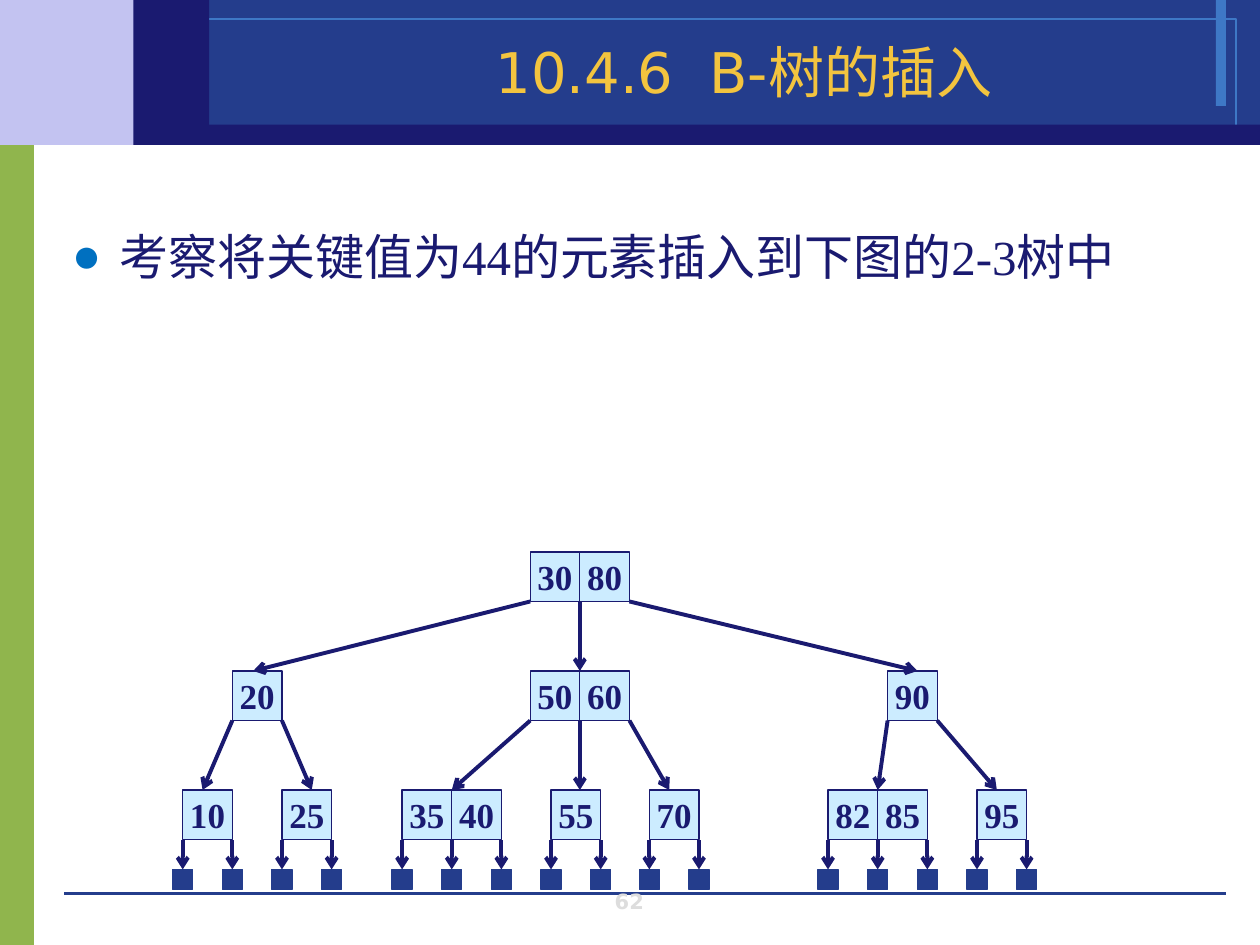
import pptx
import pptx.util
import pptx.dml.color
import pptx.enum.shapes
import pptx.enum.text
import pptx.oxml.ns
import lxml.etree

NAVY, BLUE, SKY, PALE = "1A1A70", "243D8C", "3E78C6", "CCECFF"
SERIF, SANS = "Times New Roman", "DejaVu Sans"
CELL, LEFT, TOP, LEVEL, LEAF_TOP, LEAF = 0.394, 1.45, 4.38, 0.945, 6.9, 0.16

PANELS = [
    ((0, 1.07, 0.27, 6.44), "90B54D", None),
    ((0, 0, 1.53, 1.15), "C3C3F1", None),
    ((1.53, 0, 8.47, 1.15), BLUE, None),
    ((9.65, 0, 0.08, 0.84), SKY, None),
    ((1.19, 0.15, 8.62, 0.85), None, SKY),
]
BANDS = [
    ((1.3, 0.99, 8.7, 0.16), NAVY, None),
    ((1.06, 0, 0.6, 1.15), NAVY, None),
]

# column, keys, column where the arrow arrives, children
TREE = (7, (30, 80), None, [
    (1, (20,), 1.42, [(0, (10,), 0.4, []), (2, (25,), 2.6, [])]),
    (7, (50, 60), 8, [
        (4.42, (35, 40), 5.42, []),
        (7.42, (55,), 8, []),
        (9.4, (70,), 9.8, []),
    ]),
    (14.2, (90,), 14.8, [(13, (82, 85), 14, []), (16, (95,), 16.4, [])]),
])


def color(value):
    return pptx.dml.color.RGBColor.from_string(value)


def inches(*values):
    return [pptx.util.Inches(v) for v in values]


def col_x(col):
    return LEFT + col * CELL


def style(p, size, name, value, bold=False, align=None):
    p.font.size = pptx.util.Pt(size)
    p.font.name = name
    p.font.color.rgb = color(value)
    p.font.bold = bold
    p.alignment = align


def add_box(s, at, fill=None, line=None, width=0.75):
    sp = s.shapes.add_shape(pptx.enum.shapes.MSO_SHAPE.RECTANGLE, *inches(*at))
    sp.shadow.inherit = False
    if fill:
        sp.fill.solid()
        sp.fill.fore_color.rgb = color(fill)
    else:
        sp.fill.background()
    if line:
        sp.line.color.rgb = color(line)
        sp.line.width = pptx.util.Pt(width)
    else:
        sp.line.fill.background()
    return sp


def add_line(s, start, end, value, width, arrow=False):
    cx = s.shapes.add_connector(
        pptx.enum.shapes.MSO_CONNECTOR.STRAIGHT, *inches(*start, *end))
    cx.line.color.rgb = color(value)
    cx.line.width = pptx.util.Pt(width)
    qn = pptx.oxml.ns.qn
    if arrow:
        ln = cx.line._get_or_add_ln()
        lxml.etree.SubElement(ln, qn("a:headEnd"), type="arrow")
    lxml.etree.SubElement(cx._element.spPr, qn("a:effectLst"))
    return cx


def add_key(s, x, y, key):
    sp = add_box(s, (x, y, CELL, CELL), PALE, NAVY)
    tf = sp.text_frame
    tf.word_wrap = False
    tf.vertical_anchor = pptx.enum.text.MSO_ANCHOR.MIDDLE
    tf.text = str(key)
    style(tf.paragraphs[0], 20, SERIF, NAVY, True, pptx.enum.text.PP_ALIGN.CENTER)


def add_leaf(s, x, bottom):
    sp = add_box(s, (x - LEAF / 2, LEAF_TOP, LEAF, LEAF), BLUE, BLUE)
    cx = add_line(s, (x, LEAF_TOP), (x, bottom), NAVY, 2.25, True)
    cx.begin_connect(sp, 0)


def add_node(s, node, level=0):
    col, keys, _, children = node
    y = TOP + level * LEVEL
    bottom = y + CELL
    for i, key in enumerate(keys):
        add_key(s, col_x(col + i), y, key)
    if not children:
        for i in range(len(keys) + 1):
            add_leaf(s, col_x(col + i), bottom)
    for i, child in enumerate(children):
        add_node(s, child, level + 1)
        add_line(s, (col_x(child[2]), y + LEVEL), (col_x(col + i), bottom),
                 NAVY, 2.25, True)


def fill_placeholder(s, sp, at, text, anchor):
    s.shapes._spTree.append(sp._element)
    sp.left, sp.top, sp.width, sp.height = inches(*at)
    tf = sp.text_frame
    tf.text = text
    tf.word_wrap = True
    tf.auto_size = pptx.enum.text.MSO_AUTO_SIZE.NONE
    tf.vertical_anchor = anchor
    return tf.paragraphs[0]


def add_bullet(p, char, value, indent):
    pPr = p._p.get_or_add_pPr()
    pPr.set("marL", str(pptx.util.Inches(indent)))
    pPr.set("indent", str(-pptx.util.Inches(indent)))
    qn = pptx.oxml.ns.qn
    clr = lxml.etree.Element(qn("a:buClr"))
    lxml.etree.SubElement(clr, qn("a:srgbClr"), val=value)
    bullet = lxml.etree.Element(qn("a:buChar"), char=char)
    pPr.insert_element_before(clr, "a:defRPr")
    pPr.insert_element_before(bullet, "a:defRPr")


def add_number(s, text):
    tf = s.shapes.add_textbox(*inches(3.83, 7.05, 2.33, 0.25)).text_frame
    tf.word_wrap = True
    tf.vertical_anchor = pptx.enum.text.MSO_ANCHOR.BOTTOM
    tf.text = text
    style(tf.paragraphs[0], 12, SANS, "DDDDDD", True, pptx.enum.text.PP_ALIGN.CENTER)


def main():
    prs = pptx.Presentation()
    prs.slide_width, prs.slide_height = inches(10, 7.5)
    s = prs.slides.add_slide(prs.slide_layouts[1])
    anchor = pptx.enum.text.MSO_ANCHOR

    for at, fill, line in PANELS:
        add_box(s, at, fill, line, 0)
    add_line(s, (0.51, 7.09), (9.73, 7.09), BLUE, 0)
    for at, fill, line in BANDS:
        add_box(s, at, fill, line, 0)
    add_number(s, "62")

    p = fill_placeholder(s, s.shapes.title, (1.81, 0.28, 8.19, 0.6),
                         "10.4.6  B-树的插入", anchor.BOTTOM)
    style(p, 32, SANS, "F3C43F", align=pptx.enum.text.PP_ALIGN.CENTER)

    p = fill_placeholder(s, s.placeholders[1], (0.47, 1.7, 9.53, 2.44),
                         "考察将关键值为44的元素插入到下图的2-3树中", anchor.TOP)
    style(p, 28, SERIF, NAVY)
    p.line_spacing = 1.1
    p.space_before = pptx.util.Pt(5.6)
    add_bullet(p, "●", "0070C0", 0.38)

    add_node(s, TREE)
    prs.save("out.pptx")


if __name__ == "__main__":
    main()
